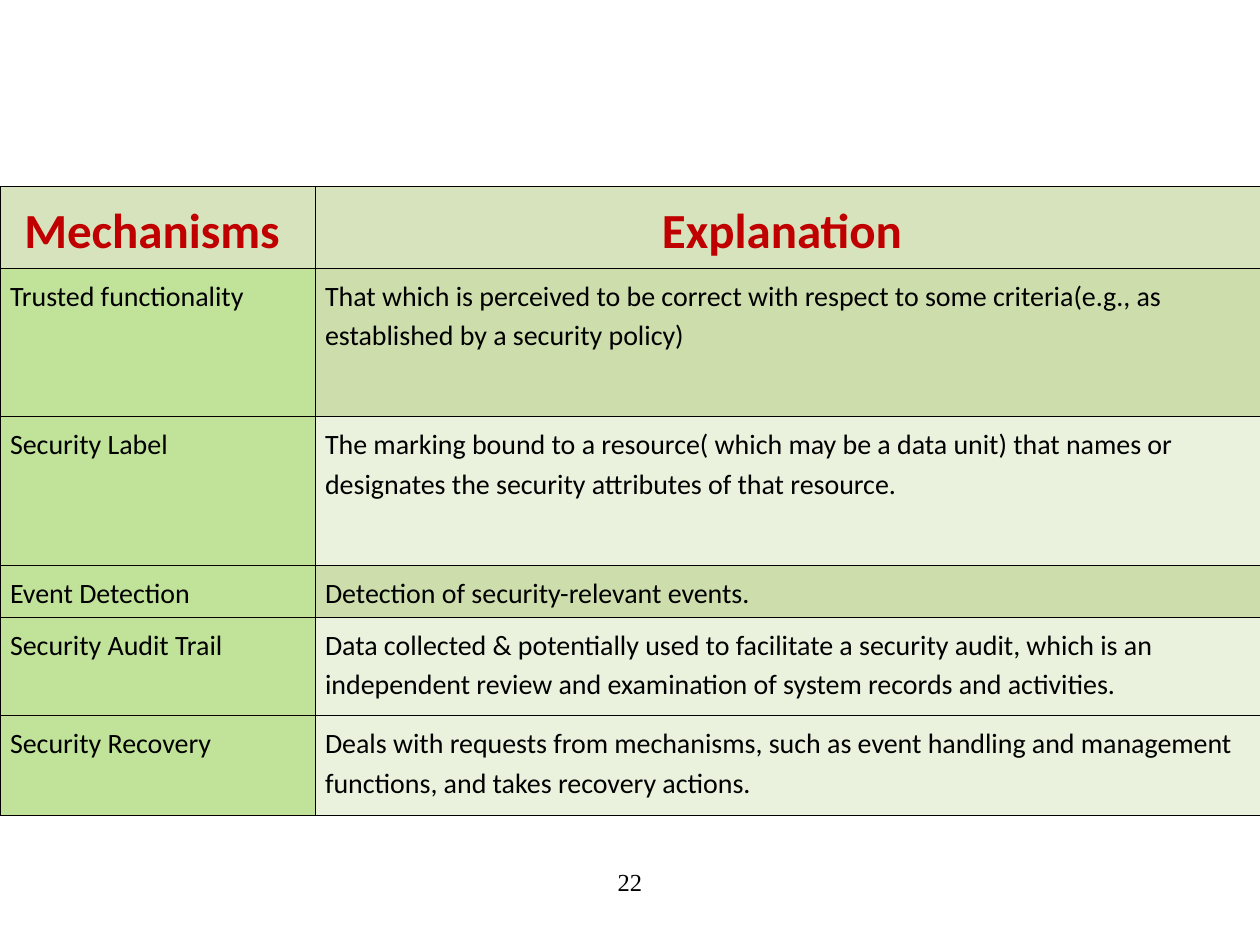
from lxml.etree import SubElement
from pptx import Presentation
from pptx.dml.color import RGBColor
from pptx.enum.text import PP_ALIGN
from pptx.oxml.ns import qn
from pptx.util import Inches, Pt

COLORS = {
    "header": "D6E3BC", "label": "C0E399", "dark": "CDDDAC", "light": "EAF1DD",
    "title": "C00000", "text": "000000", "border": "000000",
}
HEADER = ("Mechanisms ", "Explanation ")
# label, explanation, shade, row weight
MECHANISMS = [
    ("Trusted functionality",
     "That which is perceived to be correct with respect to some criteria"
     "(e.g., as established by a security policy)", "dark", 118),
    ("Security Label",
     "The marking bound to a resource( which may be a data unit) that names or "
     "designates the security attributes of that resource.", "light", 118),
    ("Event Detection", "Detection of security-relevant events.", "dark", 39),
    ("Security Audit Trail",
     "Data collected & potentially used to facilitate a security audit, which is "
     "an independent review and examination of system records and activities.",
     "light", 78),
    ("Security Recovery",
     "Deals with requests from mechanisms, such as event handling and management "
     "functions, and takes recovery actions.", "light", 79),
]
HEADER_WEIGHT = 54
COLUMN_SHARES = (0.25, 0.75)


def add_run(p, text, size, font, color, bold=False):
    """Add one formatted run to a paragraph."""
    r = p.add_run()
    r.text = text
    r.font.size, r.font.name, r.font.bold = Pt(size), font, bold
    r.font.color.rgb = RGBColor.from_string(COLORS[color])


def add_borders(cell):
    """Draw a thin line on all four sides of a cell, before its fill."""
    tcPr = cell._tc.get_or_add_tcPr()
    for i, side in enumerate(("a:lnL", "a:lnR", "a:lnT", "a:lnB")):
        ln = SubElement(tcPr, qn(side), w=str(Pt(0.45)))
        fill = SubElement(ln, qn("a:solidFill"))
        SubElement(fill, qn("a:srgbClr"), val=COLORS["border"])
        tcPr.insert(i, ln)


def fill_cell(cell, text, fill, header=False):
    """Style a table cell and write its text."""
    cell.fill.solid()
    cell.fill.fore_color.rgb = RGBColor.from_string(COLORS[fill])
    add_borders(cell)
    cell.margin_left = cell.margin_right = Inches(0.08)
    cell.margin_top = cell.margin_bottom = Inches(0.05)
    p = cell.text_frame.paragraphs[0]
    p.line_spacing = 1.15
    if header:
        p.alignment = PP_ALIGN.CENTER
        add_run(p, text, 28, "Calibri", "title", bold=True)
    else:
        p.space_after = Pt(6)
        add_run(p, text, 16, "Calibri", "text")


def add_mechanism_table(s, left, top, width, height):
    """Place the two-column table of mechanisms in the given box."""
    weights = [HEADER_WEIGHT] + [row[3] for row in MECHANISMS]
    table = s.shapes.add_table(len(weights), len(COLUMN_SHARES),
                               left, top, width, height).table
    for column, share in zip(table.columns, COLUMN_SHARES):
        column.width = int(width * share)
    for row, weight in zip(table.rows, weights):
        row.height = int(height * weight / sum(weights))
    for c, text in enumerate(HEADER):
        fill_cell(table.cell(0, c), text, "header", header=True)
    for n, (label, explanation, shade, _) in enumerate(MECHANISMS, start=1):
        fill_cell(table.cell(n, 0), label, "label")
        fill_cell(table.cell(n, 1), explanation, shade)


def add_page_number(s, number, left, top, width, height):
    """Place the centred page number in the given box."""
    tf = s.shapes.add_textbox(left, top, width, height).text_frame
    tf.word_wrap = True
    p = tf.paragraphs[0]
    p.alignment = PP_ALIGN.CENTER
    add_run(p, str(number), 14, "Times New Roman", "text")


def main():
    """Build the slide and save it."""
    prs = Presentation()
    prs.slide_width, prs.slide_height = Inches(10), Inches(7.5)
    s = prs.slides.add_slide(prs.slide_layouts[6])
    add_mechanism_table(s, 0, Inches(1.48), prs.slide_width, Inches(4.86))
    add_page_number(s, 22, Inches(3.42), Inches(6.83), Inches(3.16), Inches(0.5))
    prs.save("out.pptx")


main()
